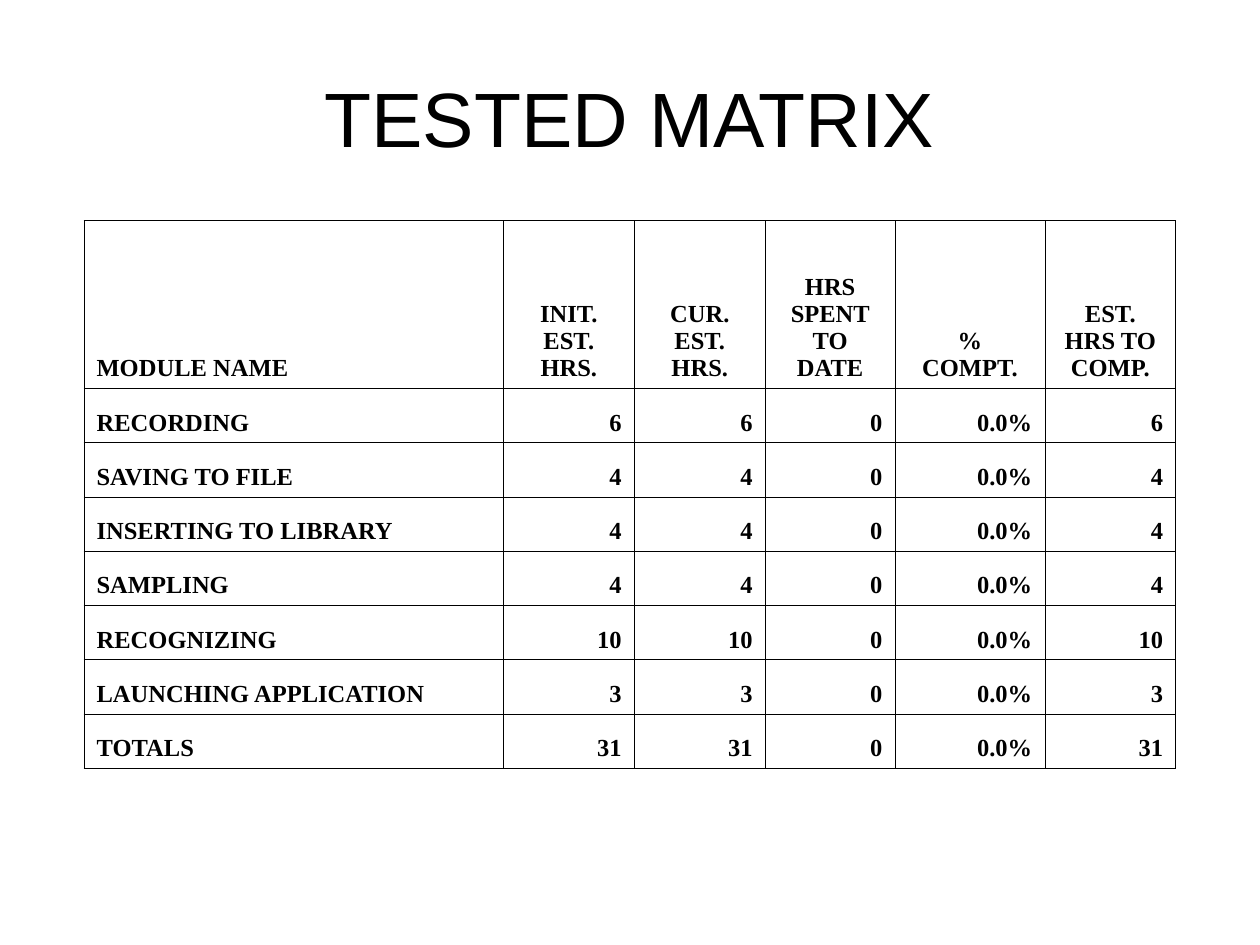
from dataclasses import dataclass

from lxml import etree
from pptx import Presentation
from pptx.dml.color import RGBColor
from pptx.enum import text
from pptx.oxml import ns
from pptx.util import Inches, Pt


@dataclass(frozen=True)
class Theme:
    ink: str = "000000"
    title_font: str = "Arial"
    table_font: str = "Times New Roman"
    title_size: float = 44
    table_size: float = 14
    border: float = 0.45


THEME = Theme()
ALIGN = text.PP_ALIGN
PAGE_WIDTH, PAGE_HEIGHT = Inches(10), Inches(7.5)
COLUMN_WEIGHTS = [3.33, 1.04, 1.04, 1.03, 1.19, 1.04]
ROW_WEIGHTS = [1.33] + [0.43] * 7
HEADINGS = [
    "MODULE NAME", "INIT. EST. HRS.", "CUR. EST. HRS.",
    "HRS SPENT TO DATE", "% COMPT.", "EST. HRS TO COMP.",
]
MODULES = [
    ("RECORDING", 6, 6, 0),
    ("SAVING TO FILE", 4, 4, 0),
    ("INSERTING TO LIBRARY", 4, 4, 0),
    ("SAMPLING", 4, 4, 0),
    ("RECOGNIZING", 10, 10, 0),
    ("LAUNCHING APPLICATION", 3, 3, 0),
]


def page_box(left, top, width, height):
    return (round(left * PAGE_WIDTH), round(top * PAGE_HEIGHT),
            round(width * PAGE_WIDTH), round(height * PAGE_HEIGHT))


def write_text(frame, words, align, font, size, bold=False):
    frame.word_wrap = True
    para = frame.paragraphs[0]
    para.text = words
    para.alignment = align
    para.font.name = font
    para.font.size = Pt(size)
    para.font.bold = bold
    para.font.color.rgb = RGBColor.from_string(THEME.ink)


def border_cell(cell):
    properties = cell._tc.get_or_add_tcPr()
    for position, side in enumerate(("a:lnL", "a:lnR", "a:lnT", "a:lnB")):
        line = etree.Element(ns.qn(side), w=str(Pt(THEME.border)))
        fill = etree.SubElement(line, ns.qn("a:solidFill"))
        etree.SubElement(fill, ns.qn("a:srgbClr"), val=THEME.ink)
        properties.insert(position, line)


def share_out(total, weights):
    return [round(total * weight / sum(weights)) for weight in weights]


def matrix_rows():
    totals = ("TOTALS", *(sum(hours) for hours in list(zip(*MODULES))[1:]))
    rows = [HEADINGS]
    for name, initial, current, spent in MODULES + [totals]:
        rows.append([name, initial, current, spent,
                     f"{spent / current:.1%}", current - spent])
    return rows


def add_title(page, box):
    frame = page.shapes.add_textbox(*box).text_frame
    frame.vertical_anchor = text.MSO_ANCHOR.MIDDLE
    write_text(frame, "TESTED MATRIX", ALIGN.CENTER,
               THEME.title_font, THEME.title_size)


def add_matrix(page, box):
    rows = matrix_rows()
    table = page.shapes.add_table(len(rows), len(HEADINGS), *box).table
    table.first_row = table.horz_banding = False
    for column, width in zip(table.columns, share_out(box[2], COLUMN_WEIGHTS)):
        column.width = width
    for row, height in zip(table.rows, share_out(box[3], ROW_WEIGHTS)):
        row.height = height
    for row_number, values in enumerate(rows):
        value_align = ALIGN.RIGHT if row_number else ALIGN.CENTER
        for column_number, value in enumerate(values):
            cell = table.cell(row_number, column_number)
            cell.fill.background()
            cell.vertical_anchor = text.MSO_ANCHOR.BOTTOM
            border_cell(cell)
            write_text(cell.text_frame, str(value),
                       value_align if column_number else ALIGN.LEFT,
                       THEME.table_font, THEME.table_size, bold=True)


def main():
    deck = Presentation()
    deck.slide_width, deck.slide_height = PAGE_WIDTH, PAGE_HEIGHT
    page = deck.slides.add_slide(deck.slide_layouts[6])
    add_title(page, page_box(0.05, 0.04, 0.9, 1 / 6))
    add_matrix(page, page_box(1 / 15, 7 / 30, 13 / 15, 0.58))
    deck.save("out.pptx")


if __name__ == "__main__":
    main()
